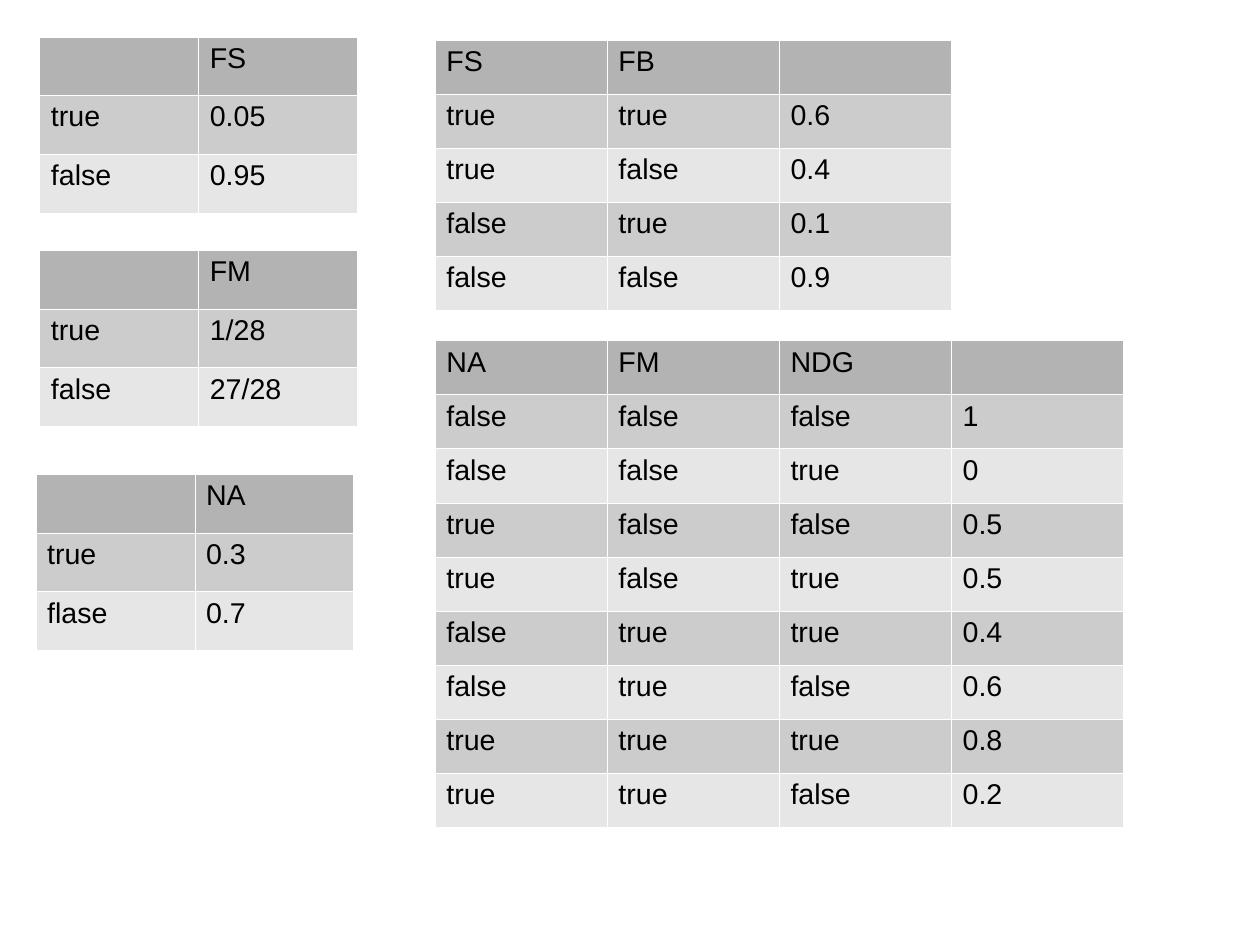
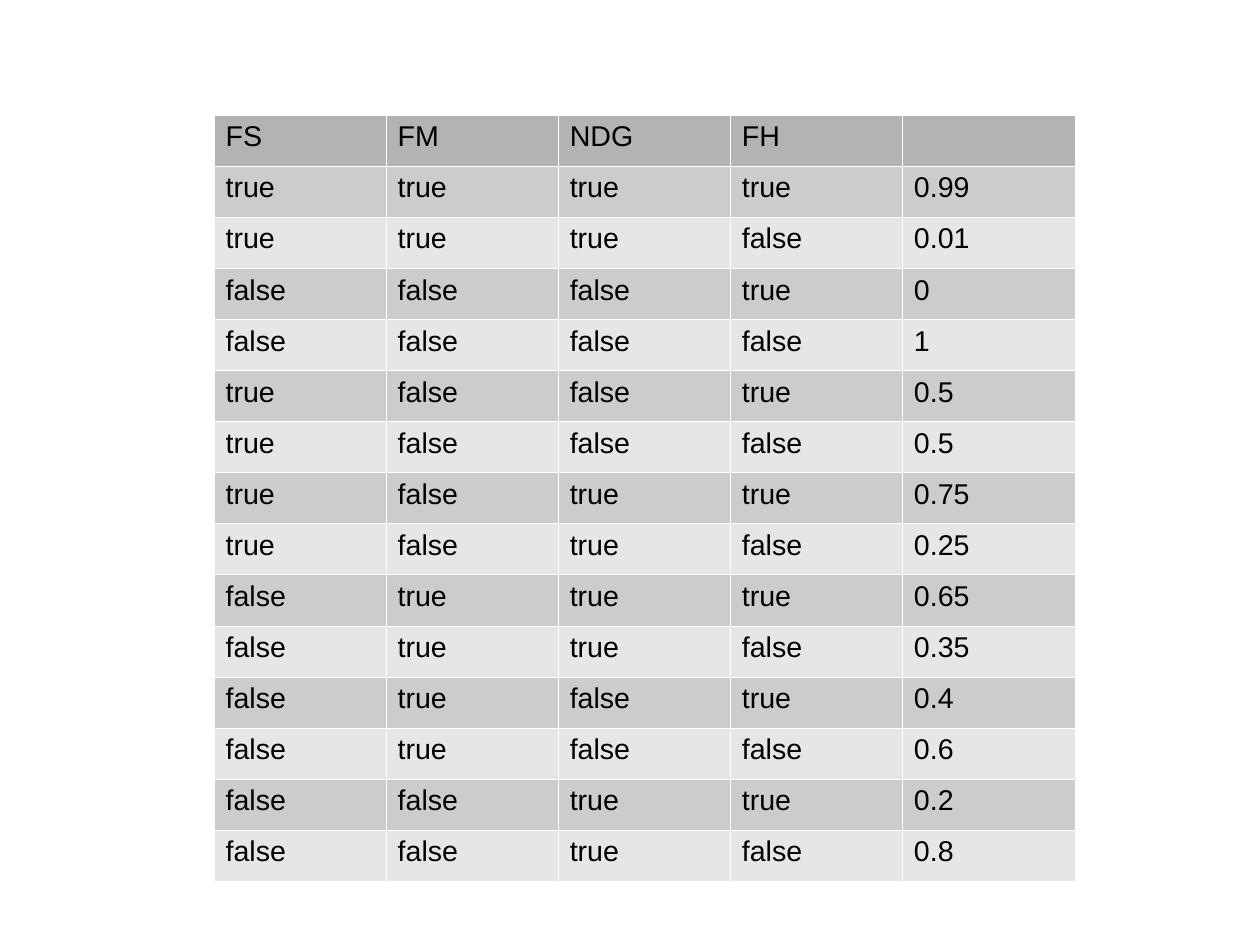
from dataclasses import dataclass

from lxml.etree import SubElement
from pptx import Presentation
from pptx.dml.color import RGBColor as Color
from pptx.oxml.ns import qn
from pptx.slide import Slide
from pptx.table import _Cell as Cell
from pptx.util import Cm, Pt

SLIDE_WIDTH = Cm(28)
SLIDE_HEIGHT = Cm(21)
BLANK_LAYOUT = 6


@dataclass(frozen=True)
class Theme:
    font: str = "Arial"
    text_size: float = 18
    text: str = "000000"
    header: str = "B3B3B3"
    bands: tuple[str, str] = ("CCCCCC", "E6E6E6")
    border: str = "FFFFFF"
    border_width: float = 0.06


THEME = Theme()


@dataclass(frozen=True)
class ProbabilityTable:
    """A table placed in percent of the slide's width and height."""

    left: float
    top: float
    column_width: float
    row_height: float
    rows: tuple[str, ...]  # cells are separated by "|"


# Shared grid, in percent of the slide
PRIOR_LEFT, PRIOR_COLUMN, PRIOR_ROW = 3.14, 12.61, 6.21
CONDITIONAL_LEFT, CONDITIONAL_COLUMN, CONDITIONAL_ROW = 34.52, 13.66, 5.72


def prior(
    top: float, name: str, true: str, false: str,
    left: float = PRIOR_LEFT, false_label: str = "false",
) -> ProbabilityTable:
    rows = (f"|{name}", f"true|{true}", f"{false_label}|{false}")
    return ProbabilityTable(left, top, PRIOR_COLUMN, PRIOR_ROW, rows)


def conditional(
    top: float, *rows: str,
    left: float = CONDITIONAL_LEFT, row_height: float = CONDITIONAL_ROW,
) -> ProbabilityTable:
    return ProbabilityTable(left, top, CONDITIONAL_COLUMN, row_height, rows)


# Tables of each slide
SLIDES = (
    (
        prior(26.46, "FM", "1/28", "27/28"),
        prior(3.87, "FS", "0.05", "0.95"),
        prior(50.16, "NA", "0.3", "0.7", left=2.84, false_label="flase"),
        conditional(
            4.23,
            "FS|FB|",
            "true|true|0.6",
            "true|false|0.4",
            "false|true|0.1",
            "false|false|0.9",
        ),
        conditional(
            36.03,
            "NA|FM|NDG|",
            "false|false|false|1",
            "false|false|true|0",
            "true|false|false|0.5",
            "true|false|true|0.5",
            "false|true|true|0.4",
            "false|true|false|0.6",
            "true|true|true|0.8",
            "true|true|false|0.2",
        ),
    ),
    (
        conditional(
            12.2,
            "FS|FM|NDG|FH|",
            "true|true|true|true|0.99",
            "true|true|true|false|0.01",
            "false|false|false|true|0",
            "false|false|false|false|1",
            "true|false|false|true|0.5",
            "true|false|false|false|0.5",
            "true|false|true|true|0.75",
            "true|false|true|false|0.25",
            "false|true|true|true|0.65",
            "false|true|true|false|0.35",
            "false|true|false|true|0.4",
            "false|true|false|false|0.6",
            "false|false|true|true|0.2",
            "false|false|true|false|0.8",
            left=17.0,
            row_height=5.4,
        ),
    ),
)


def across(percent: float) -> int:
    return round(SLIDE_WIDTH * percent / 100)


def down(percent: float) -> int:
    return round(SLIDE_HEIGHT * percent / 100)


def add_borders(cell: Cell) -> None:
    properties = cell._tc.get_or_add_tcPr()
    for side in ("a:lnL", "a:lnR", "a:lnT", "a:lnB"):
        line = SubElement(properties, qn(side), w=str(Pt(THEME.border_width)))
        fill = SubElement(line, qn("a:solidFill"))
        SubElement(fill, qn("a:srgbClr"), val=THEME.border)


def fill_cell(cell: Cell, text: str, background: str) -> None:
    add_borders(cell)
    cell.fill.solid()
    cell.fill.fore_color.rgb = Color.from_string(background)
    cell.text = text
    font = cell.text_frame.paragraphs[0].font
    font.name = THEME.font
    font.size = Pt(THEME.text_size)
    font.color.rgb = Color.from_string(THEME.text)


def draw_table(slide: Slide, content: ProbabilityTable) -> None:
    rows = [row.split("|") for row in content.rows]
    column_width, row_height = across(content.column_width), down(content.row_height)
    table = slide.shapes.add_table(
        len(rows), len(rows[0]), across(content.left), down(content.top),
        column_width * len(rows[0]), row_height * len(rows),
    ).table
    table.first_row = table.horz_banding = False
    for row_index, row in enumerate(rows):
        # Header first, then alternating bands
        background = THEME.bands[(row_index - 1) % 2] if row_index else THEME.header
        for column_index, text in enumerate(row):
            fill_cell(table.cell(row_index, column_index), text, background)


def main() -> None:
    presentation = Presentation()
    presentation.slide_width = SLIDE_WIDTH
    presentation.slide_height = SLIDE_HEIGHT
    for tables in SLIDES:
        slide = presentation.slides.add_slide(presentation.slide_layouts[BLANK_LAYOUT])
        for content in tables:
            draw_table(slide, content)
    presentation.save("out.pptx")


if __name__ == "__main__":
    main()
